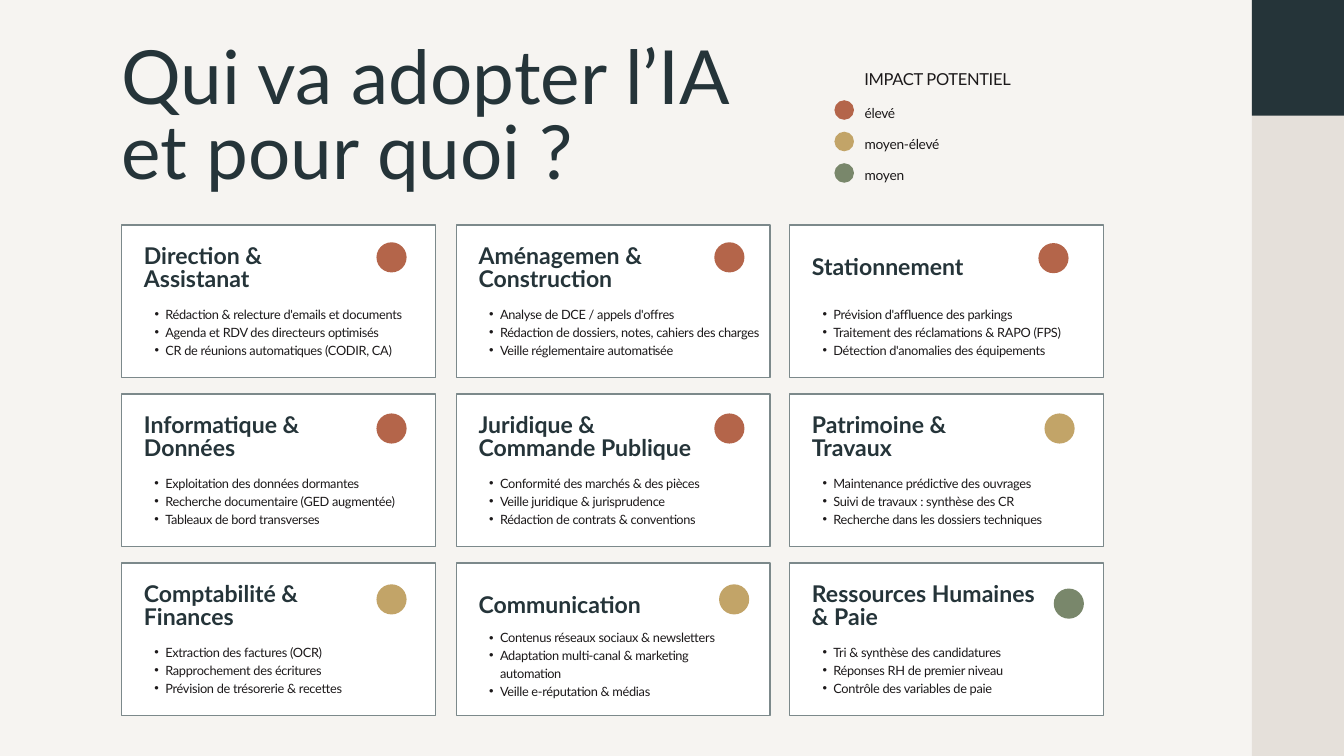
from lxml import etree
from pptx import Presentation
from pptx import util as u
from pptx.dml.color import RGBColor
from pptx.enum import shapes, text
from pptx.oxml.ns import qn

HUES = {
    "paper": "F6F4F1", "card": "FFFFFF", "edge": "7C898B", "dark": "253439",
    "ink": "1C191A", "sand": "E5E0DA",
    "élevé": "B4654A", "moyen-élevé": "C2A468", "moyen": "79876B",
}
FONT = "Lato"

# Card grid, in cm
COLS = (4.6, 17.25, 29.85)
TOP, STEP = 8.5, 6.39
WIDE, HIGH = 11.86, 5.78

# Heading, impact, dot offset, list items, exceptions to the card layout
CARDS = [
    ("Direction & Assistanat", "élevé", (9.63, 0.66),
     ["Rédaction & relecture d'emails et documents",
      "Agenda et RDV des directeurs optimisés",
      "CR de réunions automatiques (CODIR, CA)"], {}),
    ("Aménagemen & Construction", "élevé", (9.75, 0.66),
     ["Analyse de DCE / appels d'offres",
      "Rédaction de dossiers, notes, cahiers des charges",
      "Veille réglementaire automatisée"], {"list_w": 11.02}),
    ("Stationnement", "élevé", (9.4, 0.69),
     ["Prévision d'affluence des parkings",
      "Traitement des réclamations & RAPO (FPS)",
      "Détection d'anomalies des équipements"], {"head_y": 1.22}),
    ("Informatique & Données", "élevé", (9.63, 0.74),
     ["Exploitation des données dormantes",
      "Recherche documentaire (GED augmentée)",
      "Tableaux de bord transverses"], {}),
    ("Juridique &\nCommande Publique", "élevé", (9.75, 0.74),
     ["Conformité des marchés & des pièces",
      "Veille juridique & jurisprudence",
      "Rédaction de contrats & conventions"], {"head_w": 9.68}),
    ("Patrimoine & Travaux", "moyen-élevé", (9.63, 0.74),
     ["Maintenance prédictive des ouvrages",
      "Suivi de travaux : synthèse des CR",
      "Recherche dans les dossiers techniques"], {}),
    ("Comptabilité & Finances", "moyen-élevé", (9.63, 0.81),
     ["Extraction des factures (OCR)",
      "Rapprochement des écritures",
      "Prévision de trésorerie & recettes"], {}),
    ("Communication", "moyen-élevé", (9.93, 0.81),
     ["Contenus réseaux sociaux & newsletters",
      "Adaptation multi-canal & marketing automation",
      "Veille e-réputation & médias"], {"head_y": 1.22, "list_y": 2.44}),
    ("Ressources Humaines & Paie", "moyen", (9.98, 0.97),
     ["Tri & synthèse des candidatures",
      "Réponses RH de premier niveau",
      "Contrôle des variables de paie"], {"head_w": 9.14}),
]


def hue(name):
    return RGBColor.from_string(HUES[name])


def write(frame, words, size, lead, color="ink", bold=False, track=0, dots=False):
    """Fill a text frame, one paragraph per line of words."""
    frame.word_wrap = True
    frame.auto_size = text.MSO_AUTO_SIZE.NONE
    frame.vertical_anchor = text.MSO_ANCHOR.TOP
    frame.margin_left = frame.margin_right = 0
    frame.margin_top = frame.margin_bottom = 0
    frame.text = words
    for para in frame.paragraphs:
        if dots:
            para.level = 1
            props = para._p.get_or_add_pPr()
            props.set("marL", str(u.Cm(0.81)))
            props.set("indent", str(-u.Cm(0.41)))
            etree.SubElement(props, qn("a:buFont")).set("typeface", "Arial")
            etree.SubElement(props, qn("a:buChar")).set("char", "•")
        para.alignment = text.PP_ALIGN.LEFT
        para.line_spacing = u.Pt(lead)
        para.space_before = u.Pt(0)
        for run in para.runs:
            run.font.name = FONT
            run.font.size = u.Pt(size)
            run.font.bold = bold
            run.font.color.rgb = hue(color)
            if track:
                run._r.get_or_add_rPr().set("spc", str(round(track * 100)))


class Deck:
    """Keeps the style and the current slide."""

    def __init__(self, wide, high):
        self.prs = Presentation()
        self.prs.slide_width, self.prs.slide_height = u.Cm(wide), u.Cm(high)
        self.slide = self.prs.slides.add_slide(self.prs.slide_layouts[1])
        self.slide.background.fill.solid()
        self.slide.background.fill.fore_color.rgb = hue("paper")
        self.free = [self.slide.placeholders[1]]

    def shape(self, kind, x, y, w, h, fill, line=None):
        item = self.slide.shapes.add_shape(kind, u.Cm(x), u.Cm(y), u.Cm(w), u.Cm(h))
        item.shadow.inherit = False
        item.fill.solid()
        item.fill.fore_color.rgb = hue(fill)
        if line:
            item.line.color.rgb = hue(line)
            item.line.width = u.Pt(1.5)
        else:
            item.line.fill.background()

    def rect(self, *place, **look):
        self.shape(shapes.MSO_SHAPE.RECTANGLE, *place, **look)

    def dot(self, x, y, size, fill):
        self.shape(shapes.MSO_SHAPE.OVAL, x, y, size, size, fill)

    def place(self, item, x, y, w, h):
        item.left, item.top, item.width, item.height = map(u.Cm, (x, y, w, h))

    def title(self, words, *place):
        item = self.slide.shapes.title
        self.place(item, *place)
        write(item.text_frame, words, 80, 80, color="dark")

    def label(self, words, x, y, w, h, **look):
        item = self.slide.shapes.add_textbox(u.Cm(x), u.Cm(y), u.Cm(w), u.Cm(h))
        write(item.text_frame, words, **look)

    def list(self, rows, *place):
        # The body placeholder serves first, raised above its card
        if self.free:
            item = self.free.pop()
            self.slide.shapes._spTree.append(item.element)
        else:
            item = self.slide.shapes.add_textbox(0, 0, 0, 0)
        self.place(item, *place)
        write(item.text_frame, "\n".join(rows), 13.7, 19.2, track=-0.3, dots=True)

    def card(self, x, y, head, level, spot, rows,
             head_y=0.79, head_w=6.4, list_y=3, list_w=9.93):
        self.rect(x, y, WIDE, HIGH, fill="card", line="edge")
        self.label(head, x + 0.84, y + head_y, head_w, 2.54 - head_y,
                   size=24.7, lead=24.7, color="dark", bold=True)
        self.list(rows, x + 0.84, y + list_y, list_w, 5.03 - list_y)
        self.dot(x + spot[0], y + spot[1], 1.14, level)


def main():
    deck = Deck(50.8, 28.58)
    deck.title("Qui va adopter l’IA et pour quoi ?", 4.6, 1.7, 26.04, 5.77)

    # Cards
    for i, (head, level, spot, rows, extra) in enumerate(CARDS):
        row, col = divmod(i, len(COLS))
        deck.card(COLS[col], TOP + row * STEP, head, level, spot, rows, **extra)

    # Legend
    deck.label("IMPACT POTENTIEL", 32.67, 2.49, 9.93, 0.86,
               size=17.7, lead=24.8, track=-0.3)
    for i, level in enumerate(("élevé", "moyen-élevé", "moyen")):
        y = 3.79 + i * 1.19
        deck.dot(31.54, y, 0.74, level)
        deck.label(level, 32.68, y + 0.05, 9.93, 0.69,
                   size=14.7, lead=20.6, track=-0.3)

    # Side band
    deck.rect(47.32, -0.61, 3.91, 29.79, fill="sand")
    deck.rect(47.32, -0.23, 3.51, 4.6, fill="dark")

    deck.prs.save("out.pptx")


if __name__ == "__main__":
    main()
